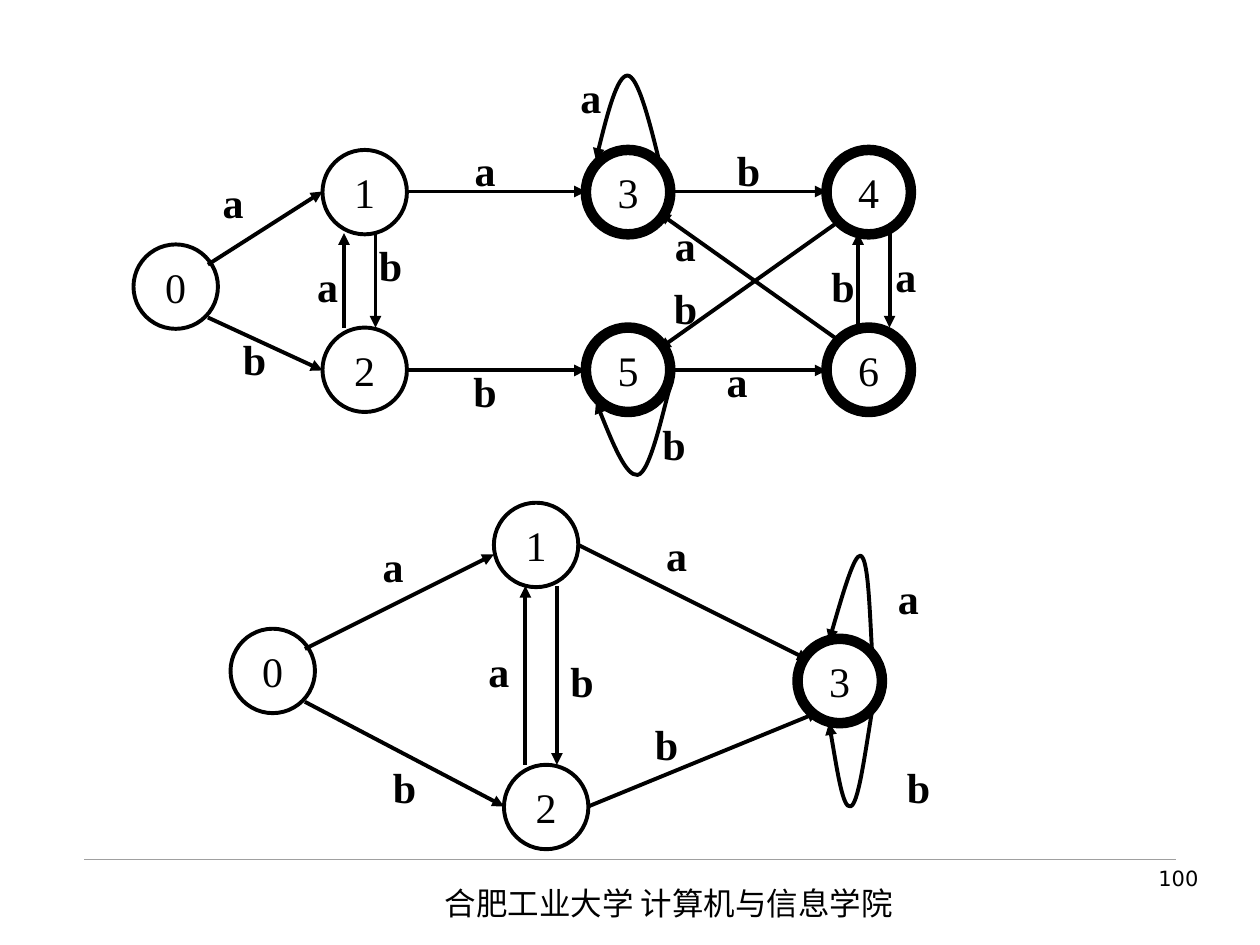
from typing import NamedTuple

from lxml import etree
from pptx import Presentation
from pptx.dml.color import RGBColor
from pptx.enum.shapes import MSO_CONNECTOR, MSO_SHAPE
from pptx.enum.text import MSO_ANCHOR, PP_ALIGN
from pptx.oxml.ns import qn
from pptx.util import Inches, Pt

OVAL = MSO_SHAPE.OVAL
STRAIGHT = MSO_CONNECTOR.STRAIGHT
MIDDLE, TOP = MSO_ANCHOR.MIDDLE, MSO_ANCHOR.TOP
LEFT, CENTER, RIGHT = PP_ALIGN.LEFT, PP_ALIGN.CENTER, PP_ALIGN.RIGHT

COLORS = {"ink": "000000", "rule": "A0A0A0"}
SERIF, SANS, HAN = "Times New Roman", "DejaVu Sans", "Noto Sans CJK SC"
NODE = 0.67
LABEL_W, LABEL_H = 0.58, 0.5
THIN, THICK = 2.25, 6


class Node(NamedTuple):
    name: str
    left: float
    top: float
    final: bool = False


class Edge(NamedTuple):
    x1: float
    y1: float
    x2: float
    y2: float


class Label(NamedTuple):
    text: str
    left: float
    top: float


class Graph(NamedTuple):
    nodes: list[Node]
    edges: list[Edge]
    labels: list[Label]
    loops: list[list[tuple[float, float]]]  # start, then cubic control points


# Upper automaton: seven states, four of them final
COLS, ROWS = (2.56, 4.65, 6.56), (1.19, 2.6)
FULL = Graph(
    nodes=[Node("0", 1.06, 1.94)] + [
        Node(name, x, y, x > COLS[0])
        for y, names in zip(ROWS, ("134", "256"))
        for x, name in zip(COLS, names)
    ],
    edges=[Edge(1.65, 2.1, 2.56, 1.52), Edge(1.65, 2.52, 2.56, 2.94)] + [
        Edge(x1, y, x2, y)
        for y in (1.52, 2.94)
        for x1, x2 in ((3.23, 4.65), (5.31, 6.56))
    ] + [
        Edge(2.98, 1.85, 2.98, 2.6), Edge(2.73, 2.6, 2.73, 1.85),
        Edge(6.81, 2.6, 6.81, 1.85), Edge(7.06, 1.85, 7.06, 2.6),
        Edge(6.64, 1.77, 5.23, 2.77), Edge(6.64, 2.69, 5.23, 1.69),
    ],
    labels=[
        Label("a", 1.56, 1.35), Label("a", 3.56, 1.1), Label("b", 5.65, 1.1),
        Label("b", 1.73, 2.6), Label("b", 3.56, 2.85), Label("a", 5.56, 2.77),
        Label("b", 2.81, 1.85), Label("a", 2.31, 2.02), Label("a", 6.9, 1.94),
        Label("b", 6.4, 2.02), Label("a", 5.15, 1.69), Label("b", 5.15, 2.19),
        Label("a", 4.4, 0.52), Label("b", 5.06, 3.27),
    ],
    loops=[
        [(5.23, 1.27), (5.15, 0.94), (5.06, 0.6), (4.98, 0.6),
         (4.9, 0.6), (4.81, 0.94), (4.73, 1.27)],
        [(5.31, 3.02), (5.33, 3), (5.35, 2.98), (5.31, 3.1),
         (5.27, 3.23), (5.16, 3.76), (5.06, 3.77),
         (4.97, 3.78), (4.85, 3.49), (4.73, 3.19)],
    ],
)

# Lower automaton: four states, one of them final
SMALL = Graph(
    nodes=[Node("0", 1.83, 4.99), Node("1", 3.92, 3.99),
           Node("2", 4, 6.07), Node("3", 6.33, 5.07, True)],
    edges=[
        Edge(2.42, 5.15, 3.92, 4.4), Edge(4.58, 4.32, 6.42, 5.24),
        Edge(2.42, 5.57, 4, 6.4), Edge(4.42, 4.65, 4.42, 6.07),
        Edge(4.17, 6.07, 4.17, 4.65), Edge(4.67, 6.4, 6.5, 5.65),
    ],
    labels=[
        Label("a", 2.83, 4.24), Label("a", 6.92, 4.49), Label("b", 2.92, 5.99),
        Label("b", 7, 5.99), Label("b", 4.33, 5.15), Label("a", 3.67, 5.07),
        Label("a", 5.08, 4.15), Label("b", 5, 5.65),
    ],
    loops=[
        [(6.92, 5.15), (6.9, 4.79), (6.89, 4.43), (6.83, 4.41),
         (6.78, 4.4), (6.68, 4.74), (6.58, 5.09)],
        [(6.92, 5.65), (6.86, 6.02), (6.81, 6.39), (6.75, 6.4),
         (6.69, 6.42), (6.64, 6.08), (6.58, 5.74)],
    ],
)


def set_text(shape, text: str, size: float, font: str, align=CENTER,
             bold: bool = False, anchor=MIDDLE, wrap: bool = False) -> None:
    frame = shape.text_frame
    frame.text = text
    frame.word_wrap = wrap
    frame.vertical_anchor = anchor
    par = frame.paragraphs[0]
    par.alignment = align
    run = par.runs[0]
    run.font.size, run.font.name, run.font.bold = Pt(size), font, bold
    run.font.color.rgb = RGBColor.from_string(COLORS["ink"])
    props = run._r.get_or_add_rPr()
    etree.SubElement(props, qn("a:ea")).set("typeface", font)


def set_line(shape, width: float, color: str = "ink", arrow: bool = False) -> None:
    shape.line.width = Pt(width)
    shape.line.color.rgb = RGBColor.from_string(COLORS[color])
    if arrow:
        tail = etree.SubElement(shape.line._get_or_add_ln(), qn("a:tailEnd"))
        tail.set("type", "triangle")


def add_line(slide, edge: Edge, width: float = THIN, color: str = "ink",
             arrow: bool = True) -> None:
    line = slide.shapes.add_connector(STRAIGHT, *map(Inches, edge))
    set_line(line, width, color, arrow)
    etree.SubElement(line._element.spPr, qn("a:effectLst"))


def add_node(slide, node: Node) -> None:
    oval = slide.shapes.add_shape(
        OVAL, *map(Inches, (node.left, node.top, NODE, NODE)))
    oval.shadow.inherit = False
    oval.fill.background()
    set_line(oval, THICK if node.final else THIN)
    set_text(oval, node.name, 24, SERIF)


def add_loop(slide, points: list[tuple[float, float]]) -> None:
    start, *rest = [(Inches(x), Inches(y)) for x, y in points]
    pen = slide.shapes.build_freeform(*start)
    pen.add_line_segments(rest, close=False)
    loop = pen.convert_to_shape()
    # Join each three points into one cubic curve
    steps = list(loop._element.iter(qn("a:lnTo")))
    track = steps[0].getparent()
    for i in range(0, len(steps), 3):
        curve = etree.SubElement(track, qn("a:cubicBezTo"))
        for step in steps[i:i + 3]:
            curve.append(step[0])
            track.remove(step)
    loop.shadow.inherit = False
    loop.fill.background()
    set_line(loop, THIN, arrow=True)


def add_text(slide, box: tuple[float, ...], text: str, size: float,
             font: str, **style) -> None:
    shape = slide.shapes.add_textbox(*map(Inches, box))
    set_text(shape, text, size, font, **style)


def add_graph(slide, graph: Graph) -> None:
    for node in graph.nodes:
        add_node(slide, node)
    for edge in graph.edges:
        add_line(slide, edge)
    for label in graph.labels:
        add_text(slide, (label.left, label.top, LABEL_W, LABEL_H),
                 label.text, 24, SERIF, bold=True)
    for loop in graph.loops:
        add_loop(slide, loop)


def main() -> None:
    deck = Presentation()
    deck.slide_width, deck.slide_height = Inches(10), Inches(7.5)
    slide = deck.slides.add_slide(deck.slide_layouts[6])

    # Footer
    add_line(slide, Edge(0.67, 6.82, 9.33, 6.82), 0.25, "rule", arrow=False)
    add_text(slide, (3.43, 6.97, 4.72, 0.4), "合肥工业大学 计算机与信息学院",
             18, HAN, align=LEFT, anchor=TOP, wrap=True)
    add_text(slide, (7.44, 6.82, 2.17, 0.52), "100",
             12, SANS, align=RIGHT, anchor=TOP, wrap=True)

    # Automata
    for graph in (FULL, SMALL):
        add_graph(slide, graph)
    deck.save("out.pptx")


if __name__ == "__main__":
    main()
